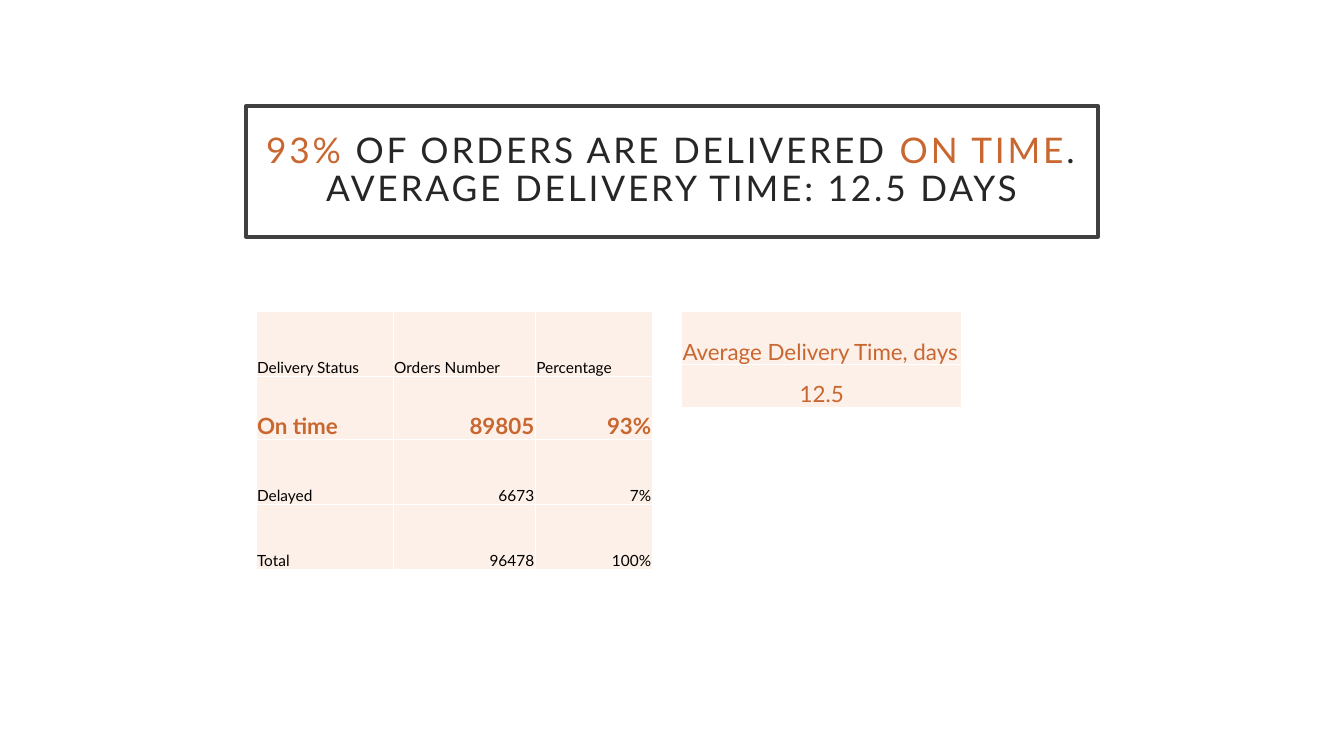
import pptx
import pptx.util
import pptx.dml.color
import pptx.enum.text
import pptx.oxml
import pptx.oxml.ns

FONT = "Lato"
ACCENT, INK, BLACK, WHITE = "C96731", "262626", "000000", "FFFFFF"
FRAME, CELL_FILL = "404040", "FDF0E8"
LEFT, CENTER, RIGHT = (pptx.enum.text.PP_ALIGN.LEFT,
                       pptx.enum.text.PP_ALIGN.CENTER,
                       pptx.enum.text.PP_ALIGN.RIGHT)


def color(hex_text):
    return pptx.dml.color.RGBColor.from_string(hex_text)


def share_box(deck, left, top, width, height):
    """Turn percentages of the slide's size into a box."""
    across, down = deck.slide_width / 100, deck.slide_height / 100
    return (int(left * across), int(top * down),
            int(width * across), int(height * down))


def set_margins(target, side, bottom):
    target.margin_left = target.margin_right = target.margin_top = pptx.util.Inches(side)
    target.margin_bottom = pptx.util.Inches(bottom)


def format_title(page, box, lines):
    """Framed title; each line is a list of (text, colour) spans."""
    title = page.shapes.title
    title.left, title.top, title.width, title.height = box
    title.fill.solid()
    title.fill.fore_color.rgb = color(WHITE)
    title.line.color.rgb = color(FRAME)
    title.line.width = pptx.util.Pt(2.5)
    frame = title.text_frame
    frame.word_wrap = True
    frame.auto_size = pptx.enum.text.MSO_AUTO_SIZE.NONE
    frame.vertical_anchor = pptx.enum.text.MSO_ANCHOR.MIDDLE
    set_margins(frame, 0.2, 0.2)
    para = frame.paragraphs[0]
    para.alignment = CENTER
    para.line_spacing = 0.9
    para.font.name = FONT
    para.font.size = pptx.util.Pt(25.2)
    for number, line in enumerate(lines):
        if number:
            para.add_line_break()
        for text, text_color in line:
            span = para.add_run()
            span.text = text
            span.font.name = FONT
            span.font.size = pptx.util.Pt(25.2)
            span.font.color.rgb = color(text_color)
            # Letter spacing of 2 points
            span.font._element.set("spc", "200")


def add_borders(cell):
    properties = cell._tc.get_or_add_tcPr()
    for index, side in enumerate(("lnL", "lnR", "lnT", "lnB")):
        properties.insert(index, pptx.oxml.parse_xml(
            f'<a:{side} {pptx.oxml.ns.nsdecls("a")} w="12700"><a:solidFill>'
            f'<a:srgbClr val="{WHITE}"/></a:solidFill></a:{side}>'))


def add_figures(page, box, columns, heights, rows, styles, align):
    """Table whose columns and heights are weights within the box."""
    left, top, width, height = box
    table = page.shapes.add_table(len(rows), len(columns), *box).table
    table.first_row = table.horz_banding = False
    for column, weight in zip(table.columns, columns):
        column.width = int(width * weight / sum(columns))
    for row, weight in zip(table.rows, heights):
        row.height = int(height * weight / sum(heights))
    for r, (texts, (size, text_color, bold)) in enumerate(zip(rows, styles)):
        for c, text in enumerate(texts):
            cell = table.cell(r, c)
            cell.fill.solid()
            cell.fill.fore_color.rgb = color(CELL_FILL)
            add_borders(cell)
            cell.vertical_anchor = pptx.enum.text.MSO_ANCHOR.BOTTOM
            set_margins(cell, 0.01, 0)
            cell.text = text
            para = cell.text_frame.paragraphs[0]
            para.alignment = align(r, c)
            para.font.name = FONT
            para.font.size = pptx.util.Pt(size)
            para.font.bold = bold
            para.font.color.rgb = color(text_color)


deck = pptx.Presentation()
deck.slide_width = pptx.util.Inches(13.33)
deck.slide_height = pptx.util.Inches(7.5)
page = deck.slides.add_slide(deck.slide_layouts.get_by_name("Title Only"))

# Headline
format_title(page, share_box(deck, 18.3, 14, 63.39, 17.33), [
    [("93% ", ACCENT), ("OF ORDERS ARE DELIVERED ", INK), ("ON TIME", ACCENT), (".", INK)],
    [("AVERAGE DELIVERY TIME: 12.5 DAYS", INK)],
])

# Orders by delivery status
plain, strong = (11, BLACK, False), (16, ACCENT, True)
add_figures(
    page, share_box(deck, 19.05, 41.2, 29.48, 34.2),
    columns=(1.36, 1.41, 1.16), heights=(0.65, 0.62, 0.65, 0.65),
    rows=[("Delivery Status", "Orders Number", "Percentage"),
          ("On time", "89805", "93%"),
          ("Delayed", "6673", "7%"),
          ("Total", "96478", "100%")],
    styles=(plain, strong, plain, plain),
    align=lambda r, c: RIGHT if r and c else LEFT)

# Average delivery time
add_figures(
    page, share_box(deck, 50.71, 41.2, 20.86, 12.67),
    columns=(1,), heights=(0.53, 0.42),
    rows=[("Average Delivery Time, days",), ("12.5",)],
    styles=[(16, ACCENT, False)] * 2,
    align=lambda r, c: CENTER if r else LEFT)

deck.save("out.pptx")
